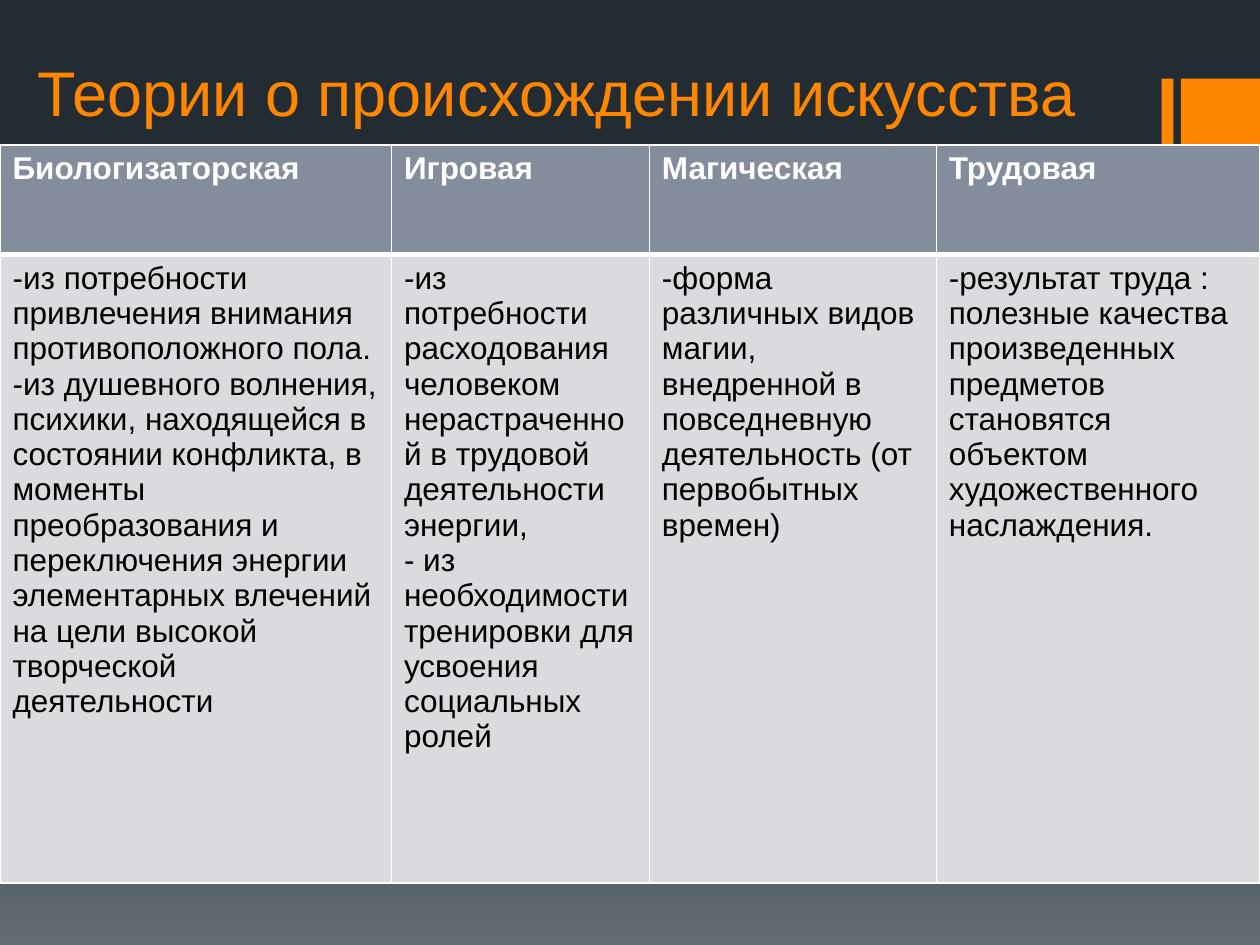
from copy import deepcopy

from lxml import etree
from pptx import Presentation
from pptx.dml.color import RGBColor
from pptx.enum import shapes, text
from pptx.oxml import ns
from pptx.util import Pt

ORANGE = RGBColor(0xFF, 0x86, 0x00)
WHITE = RGBColor(0xFF, 0xFF, 0xFF)
BLACK = RGBColor(0, 0, 0)
HEADER_FILL = RGBColor(0x83, 0x8D, 0x9B)
BODY_FILL = RGBColor(0xD9, 0xDB, 0xDE)
BACKGROUND = [
    (0, RGBColor(0x24, 0x2C, 0x33)),
    (0.65, RGBColor(0x27, 0x30, 0x37)),
    (1, RGBColor(0x63, 0x6D, 0x76)),
]
FONT = "Arial"

TITLE = "Теории о происхождении искусства"
THEORIES = [
    ("Биологизаторская", 223.7, [
        "-из потребности привлечения внимания противоположного пола.",
        "-из душевного волнения, психики, находящейся в состоянии конфликта, "
        "в моменты преобразования и переключения энергии элементарных влечений "
        "на цели высокой творческой деятельности",
    ]),
    ("Игровая", 147.4, [
        "-из потребности расходования человеком нерастраченной "
        "в трудовой деятельности энергии,",
        "- из необходимости тренировки для усвоения социальных ролей",
    ]),
    ("Магическая", 164, [
        "-форма различных видов магии, внедренной в повседневную "
        "деятельность (от первобытных времен)",
    ]),
    ("Трудовая", 184.9, [
        "-результат труда : полезные качества произведенных предметов "
        "становятся объектом художественного наслаждения.",
    ]),
]
ROW_HEIGHTS = (62.6, 359.3)
ACCENT_BARS = [(663.8, 6.8), (674.8, 45.2)]


def paint_background(page):
    fill = page.background.fill
    fill.gradient()
    fill.gradient_angle = 270
    stop_list = page.element.find(".//" + ns.qn("a:gsLst"))
    stop_list.append(deepcopy(stop_list[0]))
    for stop, (position, color) in zip(fill.gradient_stops, BACKGROUND):
        stop.position = position
        stop.color.rgb = color


def write(frame, lines, size, color, bold=False):
    frame.text = "\n".join(lines)
    for para in frame.paragraphs:
        font = para.font
        font.name, font.size, font.bold = FONT, Pt(size), bold
        font.color.rgb = color


def set_borders(cell, widths):
    properties = cell._tc.get_or_add_tcPr()
    for index, (side, width) in enumerate(widths.items()):
        line = etree.Element(ns.qn(f"a:ln{side}"), w=str(Pt(width)))
        fill = etree.SubElement(line, ns.qn("a:solidFill"))
        etree.SubElement(fill, ns.qn("a:srgbClr"), val=str(WHITE))
        properties.insert(index, line)


def add_theories(page):
    width = sum(column[1] for column in THEORIES)
    table = page.shapes.add_table(
        2, len(THEORIES), 0, Pt(82.8), Pt(width), Pt(sum(ROW_HEIGHTS))
    ).table
    for row, height in zip(table.rows, ROW_HEIGHTS):
        row.height = Pt(height)
    for index, (name, width, points) in enumerate(THEORIES):
        table.columns[index].width = Pt(width)
        styles = [
            ([name], WHITE, True, HEADER_FILL, 1, 3),
            (points, BLACK, False, BODY_FILL, 3, 1),
        ]
        for row, (lines, color, bold, fill, top, bottom) in enumerate(styles):
            cell = table.cell(row, index)
            write(cell.text_frame, lines, 18, color, bold)
            cell.fill.solid()
            cell.fill.fore_color.rgb = fill
            set_borders(cell, {"L": 1, "R": 1, "T": top, "B": bottom})


def main():
    deck = Presentation()
    deck.slide_width, deck.slide_height = Pt(720), Pt(540)
    page = deck.slides.add_slide(deck.slide_layouts[6])
    paint_background(page)

    for left, width in ACCENT_BARS:
        bar = page.shapes.add_shape(
            shapes.MSO_SHAPE.RECTANGLE, Pt(left), Pt(45), Pt(width), Pt(45)
        )
        bar.shadow.inherit = False
        bar.fill.solid()
        bar.fill.fore_color.rgb = ORANGE
        bar.line.fill.background()

    box = page.shapes.add_textbox(Pt(14.4), Pt(9.4), Pt(652.3), Pt(67.7))
    frame = box.text_frame
    frame.word_wrap = True
    frame.vertical_anchor = text.MSO_ANCHOR.BOTTOM
    write(frame, [TITLE], 36, ORANGE)

    add_theories(page)
    deck.save("out.pptx")


if __name__ == "__main__":
    main()
